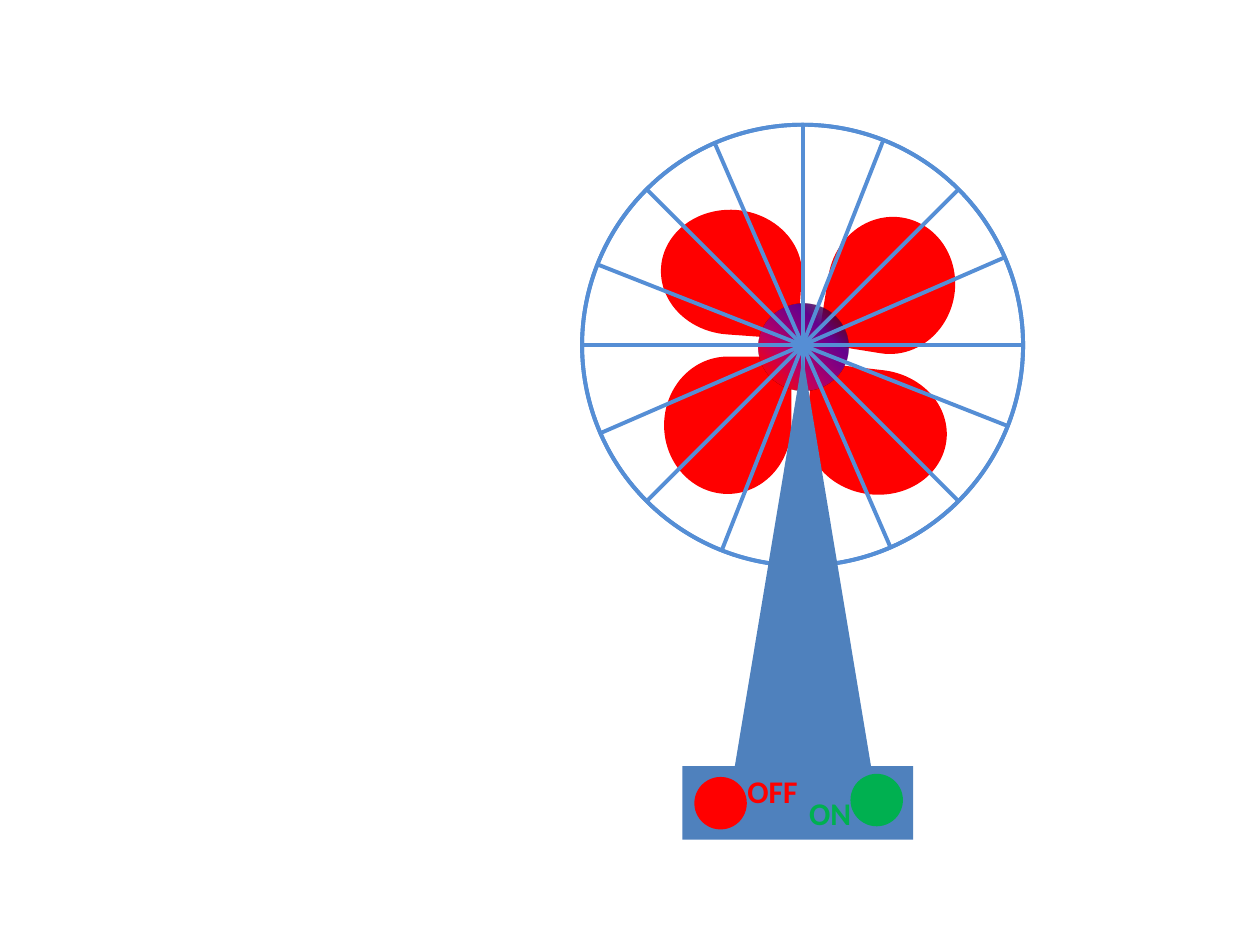
import math
from dataclasses import dataclass

import lxml.etree
import pptx
import pptx.dml.color
import pptx.enum.shapes
import pptx.enum.text
import pptx.oxml.ns
import pptx.util

Pt = pptx.util.Pt
Shape = pptx.enum.shapes.MSO_SHAPE
qn = pptx.oxml.ns.qn


@dataclass(frozen=True)
class Theme:
    red: str = "FF0000"
    green: str = "00B050"
    body: str = "4F81BD"
    wire: str = "558ED5"
    wire_width: float = 2.25
    font: str = "Calibri"
    label_size: float = 18
    # position %, colour, opacity %
    hub_stops: tuple = ((0, "000000", 50), (30, "66008F", 100), (65, "BA0066", 100),
                        (90, "FF0000", 100), (100, "FF8200", 100))
    hub_angle: int = 135


THEME = Theme()

CENTER_X, CENTER_Y, RADIUS = 458.64, 197.28, 126
CAGE_TURNS = (0, 21.5)
SPOKE_TURNS = (0, -45, -90, -135)
# left, top, width, height, rotation
BLADES = (
    (379.5, 203.75, 72.75, 78.5, 0),
    (473, 123.85, 72.75, 78.5, 189.1),
    (465.1, 206.65, 71.3, 80.65, 276.6),
    (382.3, 115.2, 71.3, 80.65, 94.1),
)


def rgb(color):
    return pptx.dml.color.RGBColor.from_string(color)


def add_solid(shapes, kind, left, top, width, height, color, rotation=0):
    shape = shapes.add_shape(kind, Pt(left), Pt(top), Pt(width), Pt(height))
    shape.shadow.inherit = False
    shape.fill.solid()
    shape.fill.fore_color.rgb = rgb(color)
    shape.line.fill.background()
    shape.rotation = rotation
    return shape


def draw_wire(line):
    line.color.rgb = rgb(THEME.wire)
    line.width = Pt(THEME.wire_width)


def add_ring(shapes, rotation):
    ring = shapes.add_shape(Shape.OVAL, Pt(CENTER_X - RADIUS), Pt(CENTER_Y - RADIUS),
                            Pt(2 * RADIUS), Pt(2 * RADIUS))
    ring.shadow.inherit = False
    ring.fill.background()
    ring.rotation = rotation
    draw_wire(ring.line)


def add_spoke(shapes, turn):
    """Draw a diameter of the cage, turned clockwise from vertical."""
    across = RADIUS * math.sin(math.radians(turn))
    down = -RADIUS * math.cos(math.radians(turn))
    spoke = shapes.add_connector(
        pptx.enum.shapes.MSO_CONNECTOR.STRAIGHT,
        Pt(CENTER_X + across), Pt(CENTER_Y + down),
        Pt(CENTER_X - across), Pt(CENTER_Y - down))
    draw_wire(spoke.line)
    lxml.etree.SubElement(spoke.element.spPr, qn("a:effectLst"))


def set_gradient(shape, stops, angle):
    """Replace the solid fill by a linear gradient with opacities."""
    solid = shape.element.spPr.find(qn("a:solidFill"))
    gradient = lxml.etree.Element(qn("a:gradFill"), rotWithShape="1")
    stop_list = lxml.etree.SubElement(gradient, qn("a:gsLst"))
    for position, color, opacity in stops:
        stop = lxml.etree.SubElement(stop_list, qn("a:gs"), pos=str(position * 1000))
        value = lxml.etree.SubElement(stop, qn("a:srgbClr"), val=color)
        if opacity < 100:
            lxml.etree.SubElement(value, qn("a:alpha"), val=str(opacity * 1000))
    lxml.etree.SubElement(gradient, qn("a:lin"), ang=str(angle * 60000), scaled="0")
    shape.element.spPr.replace(solid, gradient)


def add_label(shapes, text, left, top, width, color):
    box = shapes.add_textbox(Pt(left), Pt(top), Pt(width), Pt(29))
    frame = box.text_frame
    frame.word_wrap = False
    frame.auto_size = pptx.enum.text.MSO_AUTO_SIZE.SHAPE_TO_FIT_TEXT
    para = frame.paragraphs[0]
    para.text = text
    para.alignment = pptx.enum.text.PP_ALIGN.CENTER
    para.font.name = THEME.font
    para.font.size = Pt(THEME.label_size)
    para.font.bold = True
    para.font.color.rgb = rgb(color)


def add_propeller(page):
    shapes = page.shapes.add_group_shape().shapes
    for left, top, width, height, rotation in BLADES:
        add_solid(shapes, Shape.TEAR, left, top, width, height, THEME.red, rotation)
    hub = add_solid(shapes, Shape.OVAL, 433.5, 173.5, 51.1, 49.7, THEME.red)
    set_gradient(hub, THEME.hub_stops, THEME.hub_angle)


def add_cage(page):
    shapes = page.shapes.add_group_shape().shapes
    for cage_turn in CAGE_TURNS:
        add_ring(shapes, cage_turn)
        for spoke_turn in SPOKE_TURNS:
            add_spoke(shapes, cage_turn + spoke_turn)


def add_stand(page):
    shapes = page.shapes
    add_solid(shapes, Shape.ISOSCELES_TRIANGLE, 419.9, 203.8, 77.8, 234, THEME.body)
    add_solid(shapes, Shape.RECTANGLE, 390, 437.8, 131.8, 42, THEME.body)
    add_solid(shapes, Shape.OVAL, 396.8, 444, 30, 30, THEME.red)
    add_solid(shapes, Shape.OVAL, 486, 442.2, 30, 30, THEME.green)
    add_label(shapes, "OFF", 419.8, 437.8, 43.2, THEME.red)
    add_label(shapes, "ON", 455, 450, 38.9, THEME.green)


def main():
    deck = pptx.Presentation()
    deck.slide_width, deck.slide_height = Pt(720), Pt(540)
    page = deck.slides.add_slide(deck.slide_layouts[6])
    add_propeller(page)
    add_cage(page)
    add_stand(page)
    deck.save("out.pptx")


if __name__ == "__main__":
    main()
